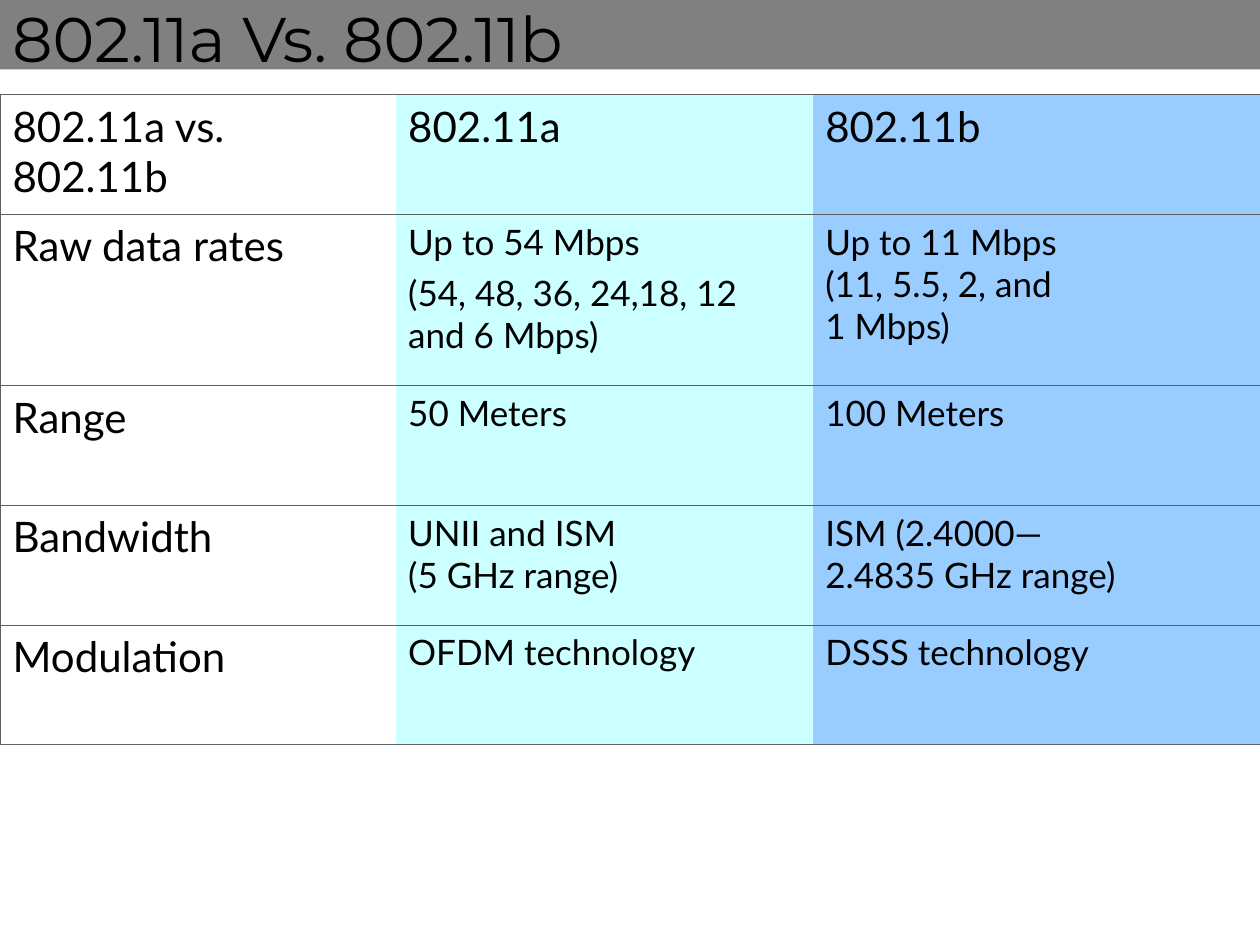
"""Build a slide that compares the 802.11a and 802.11b standards in a table."""
from dataclasses import dataclass

from lxml.etree import SubElement
from pptx import Presentation
from pptx.dml.color import RGBColor as RGB
from pptx.enum.shapes import MSO_SHAPE as Shape
from pptx.enum.text import MSO_ANCHOR as Anchor
from pptx.oxml.ns import qn
from pptx.util import Inches, Pt


@dataclass(frozen=True)
class Theme:
    ink: str = "000000"
    bar: str = "808080"
    rule: str = "5F5F5F"
    rule_width: float = 0.45
    title_font: str = "Montserrat"
    body_font: str = "Lato"
    title_size: int = 36
    label_size: int = 24
    value_size: int = 20
    label_gap: int = 6
    value_gap: int = 5


@dataclass(frozen=True)
class Column:
    share: float
    fill: str | None
    sides: str


@dataclass(frozen=True)
class Row:
    height: float
    cells: tuple[str, str, str]


THEME = Theme()
WIDTH, HEIGHT = Inches(10), Inches(7.5)
TITLE = "802.11a Vs. 802.11b"
COLUMNS = (
    Column(0.314, None, "LTB"),
    Column(0.331, "CCFFFF", "TB"),
    Column(0.355, "99CCFF", "RTB"),
)
ROWS = (
    Row(0.95, ("802.11a vs. 802.11b", "802.11a", "802.11b")),
    Row(1.36, ("Raw data rates",
               "Up to 54 Mbps\n(54, 48, 36, 24,18, 12 and 6 Mbps)",
               "Up to 11 Mbps \v(11, 5.5, 2, and \v1 Mbps)")),
    Row(0.95, ("Range", "50 Meters", "100 Meters")),
    Row(0.95, ("Bandwidth", "UNII and ISM \v(5 GHz range)",
               "ISM (2.4000—\v2.4835 GHz range)")),
    Row(0.95, ("Modulation", "OFDM technology", "DSSS technology")),
)


def write(tf, text: str, font: str, size: int, gap: int = 0) -> None:
    """Fill a text frame, one paragraph per newline and one run per line."""
    for i, block in enumerate(text.split("\n")):
        p = tf.paragraphs[0] if i == 0 else tf.add_paragraph()
        p.space_before = Pt(gap)
        for j, line in enumerate(block.split("\v")):
            if j:
                p.add_line_break()
            r = p.add_run()
            r.text = line
            r.font.name, r.font.size = font, Pt(size)
            r.font.color.rgb = RGB.from_string(THEME.ink)


def set_borders(cell, sides: str) -> None:
    """Rule the given sides of a cell and clear the others."""
    tc_pr = cell._tc.get_or_add_tcPr()
    for side in "LRTB":
        ln = SubElement(tc_pr, qn(f"a:ln{side}"), w=str(Pt(THEME.rule_width)))
        if side in sides:
            fill = SubElement(ln, qn("a:solidFill"))
            SubElement(fill, qn("a:srgbClr"), val=THEME.rule)
        else:
            SubElement(ln, qn("a:noFill"))


def add_title(s) -> None:
    """Draw the title bar and its text."""
    sp = s.shapes.add_shape(Shape.RECTANGLE, 0, 0, WIDTH, Inches(0.55))
    sp.shadow.inherit = False
    sp.fill.solid()
    sp.fill.fore_color.rgb = RGB.from_string(THEME.bar)
    sp.line.fill.background()
    tf = s.shapes.add_textbox(0, Inches(-0.08), WIDTH, Inches(0.75)).text_frame
    tf.word_wrap = True
    tf.vertical_anchor = Anchor.MIDDLE
    write(tf, TITLE, THEME.title_font, THEME.title_size)


def add_comparison(s) -> None:
    """Draw the comparison table across the full slide width."""
    height = Inches(sum(row.height for row in ROWS))
    table = s.shapes.add_table(len(ROWS), len(COLUMNS), 0, int(HEIGHT * 0.1),
                               WIDTH, height).table
    table.first_row = table.horz_banding = False
    for c, column in enumerate(COLUMNS):
        table.columns[c].width = int(WIDTH * column.share)
    for r, row in enumerate(ROWS):
        table.rows[r].height = Inches(row.height)
        for c, (column, text) in enumerate(zip(COLUMNS, row.cells)):
            cell = table.cell(r, c)
            set_borders(cell, column.sides)
            if column.fill:
                cell.fill.solid()
                cell.fill.fore_color.rgb = RGB.from_string(column.fill)
            else:
                cell.fill.background()
            label = r == 0 or c == 0
            write(cell.text_frame, text, THEME.body_font,
                  THEME.label_size if label else THEME.value_size,
                  THEME.label_gap if label else THEME.value_gap)


def main() -> None:
    """Create the presentation and save it."""
    prs = Presentation()
    prs.slide_width, prs.slide_height = WIDTH, HEIGHT
    s = prs.slides.add_slide(prs.slide_layouts[6])
    add_title(s)
    add_comparison(s)
    prs.save("out.pptx")


if __name__ == "__main__":
    main()
